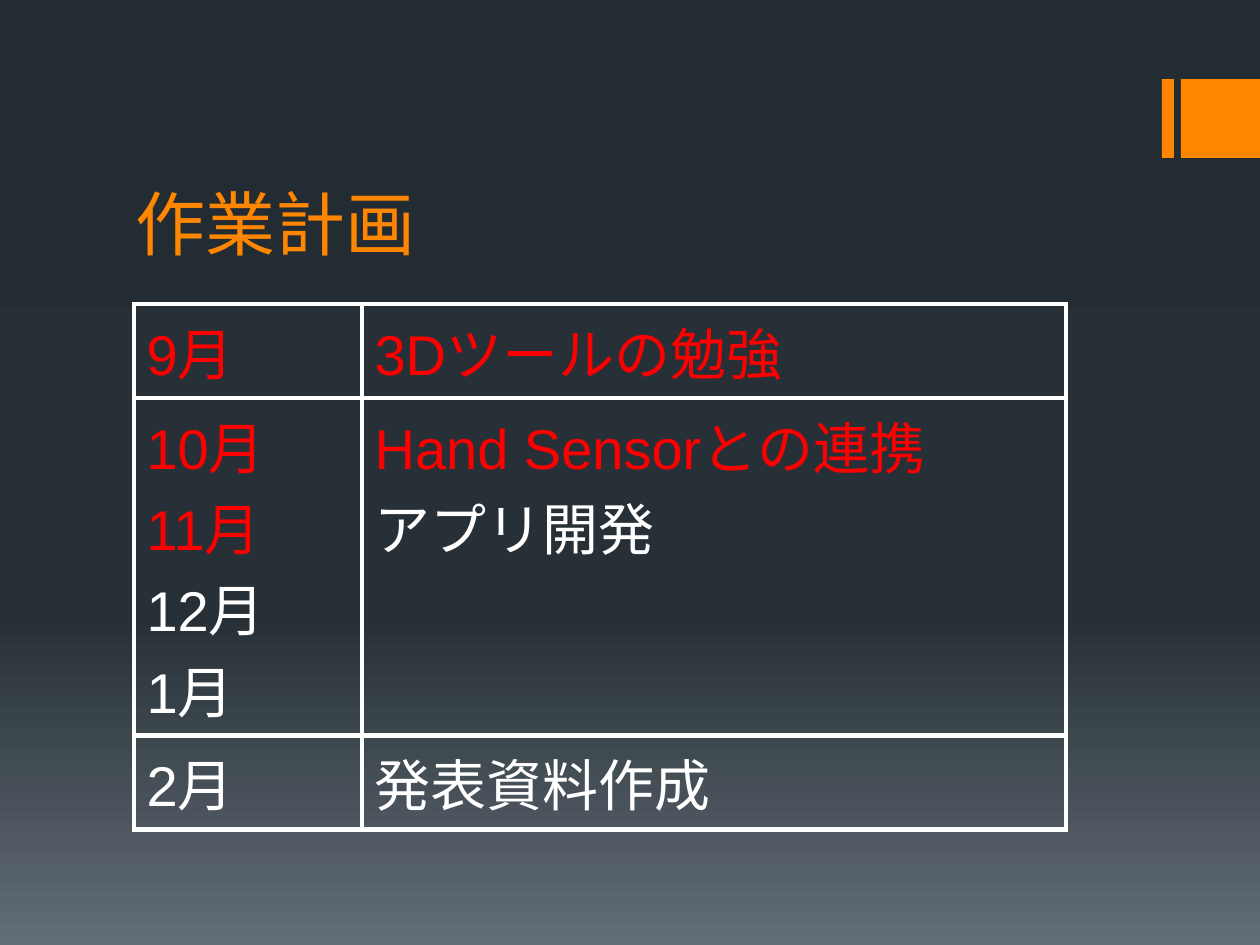
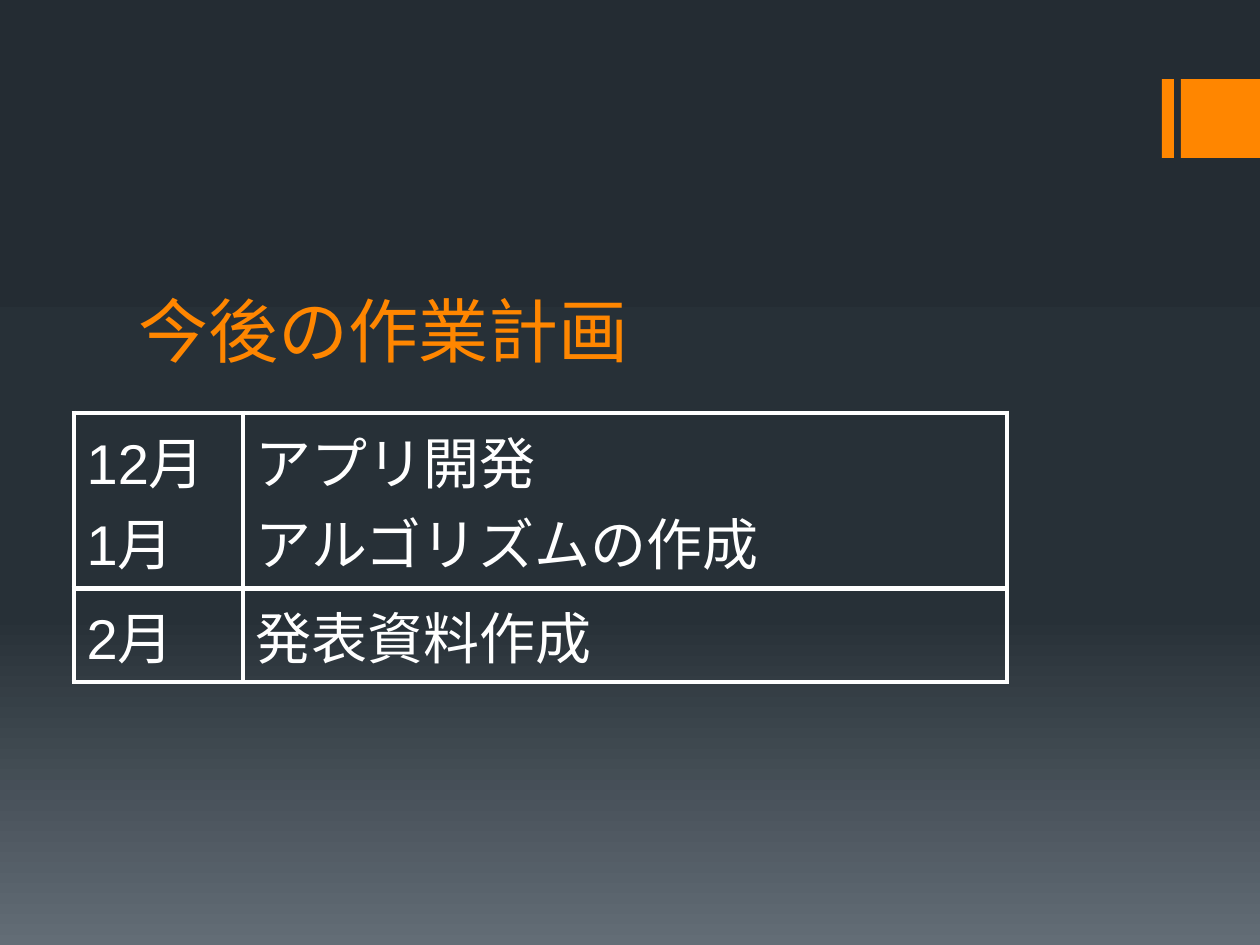
from copy import deepcopy
from lxml.etree import SubElement as Sub
from pptx import Presentation
from pptx.dml.color import RGBColor as RGB
from pptx.enum.shapes import MSO_SHAPE as SHAPE
from pptx.enum.text import MSO_ANCHOR as ANCHOR, MSO_AUTO_SIZE as AUTO, PP_ALIGN as ALIGN
from pptx.oxml.ns import qn
from pptx.util import Emu, Pt

ORANGE = RGB(0xFF, 0x86, 0x00)
RED = RGB(0xFF, 0x00, 0x00)
WHITE = RGB(0xFF, 0xFF, 0xFF)
SKY = [(0, RGB(0x24, 0x2C, 0x33)), (0.65, RGB(0x27, 0x30, 0x37)), (1, RGB(0x63, 0x6D, 0x76))]

PLANS = [
    {
        "title": "作業計画", "head": (123, 106), "grid": (134, 304), "cols": (228, 704),
        "rows": [
            (["9月"], ["3Dツールの勉強"]),
            (["10月", "11月", "12月", "1月"], ["Hand Sensorとの連携", "アプリ開発"]),
            (["2月"], ["発表資料作成"]),
        ],
        "done": {"9月", "10月", "11月", "3Dツールの勉強", "Hand Sensorとの連携"},
    },
    {
        "title": "今後の作業計画", "head": (126, 213), "grid": (74, 413), "cols": (169, 764),
        "rows": [
            (["12月", "1月"], ["アプリ開発", "アルゴリズムの作成"]),
            (["2月"], ["発表資料作成"]),
        ],
        "done": set(),
    },
]

BARS = [(1162, 79, 12, 79), (1181, 79, 79, 79)]
HEAD = (1008, 159)
LINE, PAD = 81, 13
TITLE = {"name": "Arial", "size": Pt(40), "bold": False}
BODY = {"name": "Arial", "size": Pt(32), "bold": False}
FRAME = {"vertical_anchor": ANCHOR.BOTTOM, "auto_size": AUTO.NONE, "word_wrap": True, "margin_bottom": 0}


def px(n):
    return Emu(round(n * 914400 / 126))


def style(item, form):
    for key, value in form.items():
        setattr(item, key, value)


def paint(font, form, color):
    style(font, form)
    font.color.rgb = color


def set_sky(master):
    fill = master.background.fill
    fill.gradient()
    fill.gradient_angle = 270
    stops = master.element.find(".//" + qn("a:gsLst"))
    stops.append(deepcopy(stops[0]))
    for stop, (place, color) in zip(fill.gradient_stops, SKY):
        stop.position = place
        stop.color.rgb = color


def add_bars(slide, master):
    for box in BARS:
        bar = slide.shapes.add_shape(SHAPE.RECTANGLE, *map(px, box))
        bar.shadow.inherit = False
        bar.fill.solid()
        bar.fill.fore_color.rgb = ORANGE
        bar.line.fill.background()
        master.shapes.element.insert(2, bar.element)


def add_title(slide, plan):
    title = slide.shapes.title
    title.left, title.top, title.width, title.height = map(px, plan["head"] + HEAD)
    title.text = plan["title"]
    style(title.text_frame, FRAME)
    para = title.text_frame.paragraphs[0]
    para.alignment = ALIGN.LEFT
    paint(para.runs[0].font, TITLE, ORANGE)


def add_edges(cell):
    props = cell._tc.get_or_add_tcPr()
    for side in "LRTB":
        edge = Sub(props, qn(f"a:ln{side}"), w=str(Pt(3)))
        Sub(Sub(edge, qn("a:solidFill")), qn("a:srgbClr"), val=str(WHITE))
    cell.fill.background()


def fill_cell(cell, lines, done):
    add_edges(cell)
    cell.text = "\n".join(lines)
    for para in cell.text_frame.paragraphs:
        for run in para.runs:
            paint(run.font, BODY, RED if run.text in done else WHITE)


def add_grid(slide, plan):
    rows, cols = plan["rows"], plan["cols"]
    highs = [LINE * max(map(len, row)) + PAD for row in rows]
    box = plan["grid"] + (sum(cols), sum(highs))
    grid = slide.shapes.add_table(len(rows), len(cols), *map(px, box)).table
    style(grid, {"first_row": False, "horz_banding": False})
    for col, width in zip(grid.columns, cols):
        col.width = px(width)
    for row, high, texts in zip(grid.rows, highs, rows):
        row.height = px(high)
        for cell, lines in zip(row.cells, texts):
            fill_cell(cell, lines, plan["done"])


def main():
    deck = Presentation()
    deck.slide_width, deck.slide_height = px(1260), px(945)
    master = deck.slide_master
    set_sky(master)
    for plan in PLANS:
        slide = deck.slides.add_slide(deck.slide_layouts[5])
        add_title(slide, plan)
        add_grid(slide, plan)
    add_bars(slide, master)
    deck.save("out.pptx")


if __name__ == "__main__":
    main()
